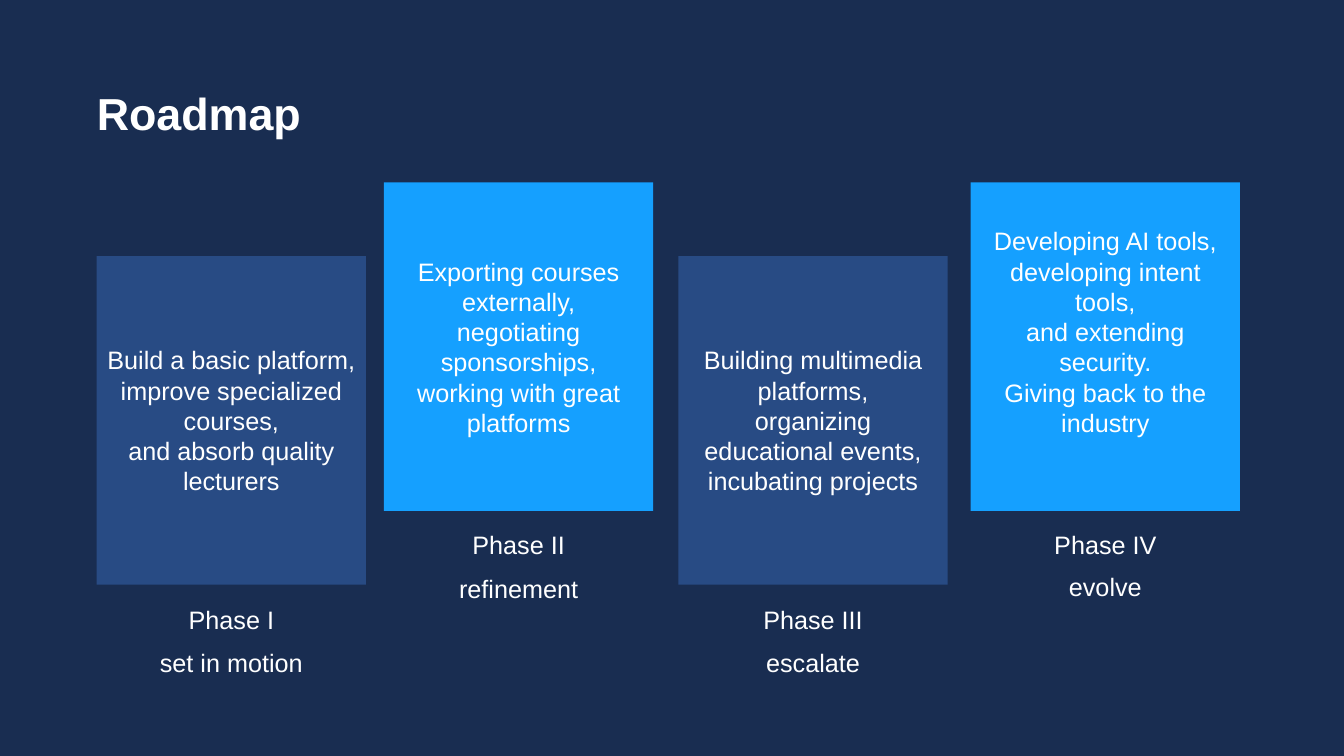
from dataclasses import dataclass

from pptx import Presentation
from pptx.dml.color import RGBColor
from pptx.enum.shapes import MSO_SHAPE
from pptx.enum.text import MSO_ANCHOR, MSO_AUTO_SIZE, PP_ALIGN
from pptx.util import Pt

FONT = "Arial"
NAVY, BLUE, BRIGHT, WHITE = "192D51", "284B84", "15A0FF", "FFFFFF"
CARD_WIDTH, CARD_HEIGHT = 192.3, 234.7
LABEL_HEIGHT = 28.8
LOW_TOP, HIGH_TOP = 182.9, 130.3


@dataclass
class Phase:
    """Content and placement of one roadmap phase."""
    left: float
    top: float
    color: str
    lines: list
    name: str
    stage: str
    label_gap: float
    label_pitch: float = 30.2
    bottom_inset: float = 3.6


PHASES = [
    Phase(69.1, LOW_TOP, BLUE,
          ["Build a basic platform, improve specialized courses,",
           "and absorb quality lecturers"],
          "Phase I", "set in motion", 10.8),
    Phase(274.3, HIGH_TOP, BRIGHT,
          ["Exporting courses externally,", "negotiating sponsorships,",
           "working with great platforms"],
          "Phase II", "refinement", 9.4, label_pitch=31.7),
    Phase(484.6, LOW_TOP, BLUE,
          ["Building multimedia platforms,",
           "organizing educational events, incubating projects"],
          "Phase III", "escalate", 10.8),
    Phase(693.4, HIGH_TOP, BRIGHT,
          ["Developing AI tools, developing intent tools,",
           "and extending security.", "Giving back to the industry"],
          "Phase IV", "evolve", 9.4, bottom_inset=25.2),
]


def rgb(value):
    """Turn a hex string into a colour."""
    return RGBColor.from_string(value)


def write_lines(text_frame, lines, size=18, bold=False, alignment=PP_ALIGN.CENTER):
    """Write one paragraph per line in the slide's type style."""
    text_frame.word_wrap = True
    text_frame.auto_size = MSO_AUTO_SIZE.NONE
    for index, line in enumerate(lines):
        paragraph = text_frame.add_paragraph() if index else text_frame.paragraphs[0]
        paragraph.alignment = alignment
        run = paragraph.add_run()
        run.text = line
        run.font.name = FONT
        run.font.size = Pt(size)
        run.font.bold = bold
        run.font.color.rgb = rgb(WHITE)


def add_title(slide, left, top, width, height):
    """Place the title in its placeholder."""
    title = slide.shapes.title
    title.left, title.top = Pt(left), Pt(top)
    title.width, title.height = Pt(width), Pt(height)
    title.text_frame.vertical_anchor = MSO_ANCHOR.TOP
    write_lines(title.text_frame, ["Roadmap"], 32, True, PP_ALIGN.LEFT)


def add_label(slide, text, left, top, width):
    """Add a centred caption line."""
    label = slide.shapes.add_textbox(Pt(left), Pt(top), Pt(width), Pt(LABEL_HEIGHT))
    write_lines(label.text_frame, [text])


def add_phase(slide, phase, width, height):
    """Draw a phase card with its two captions below."""
    card = slide.shapes.add_shape(
        MSO_SHAPE.RECTANGLE, Pt(phase.left), Pt(phase.top), Pt(width), Pt(height))
    card.shadow.inherit = False
    card.fill.solid()
    card.fill.fore_color.rgb = rgb(phase.color)
    card.line.fill.background()
    card.text_frame.vertical_anchor = MSO_ANCHOR.MIDDLE
    card.text_frame.margin_bottom = Pt(phase.bottom_inset)
    write_lines(card.text_frame, phase.lines)
    label_top = phase.top + height + phase.label_gap
    for index, text in enumerate([phase.name, phase.stage]):
        add_label(slide, text, phase.left, label_top + index * phase.label_pitch, width)


def build_roadmap(presentation):
    """Add the roadmap slide."""
    slide = presentation.slides.add_slide(presentation.slide_layouts[5])
    slide.background.fill.solid()
    slide.background.fill.fore_color.rgb = rgb(NAVY)
    add_title(slide, 61.9, 57.6, 187.2, 44.6)
    for phase in PHASES:
        add_phase(slide, phase, CARD_WIDTH, CARD_HEIGHT)


def main():
    """Build and save the presentation."""
    presentation = Presentation()
    presentation.slide_width, presentation.slide_height = Pt(960), Pt(540)
    build_roadmap(presentation)
    presentation.save("out.pptx")


if __name__ == "__main__":
    main()
